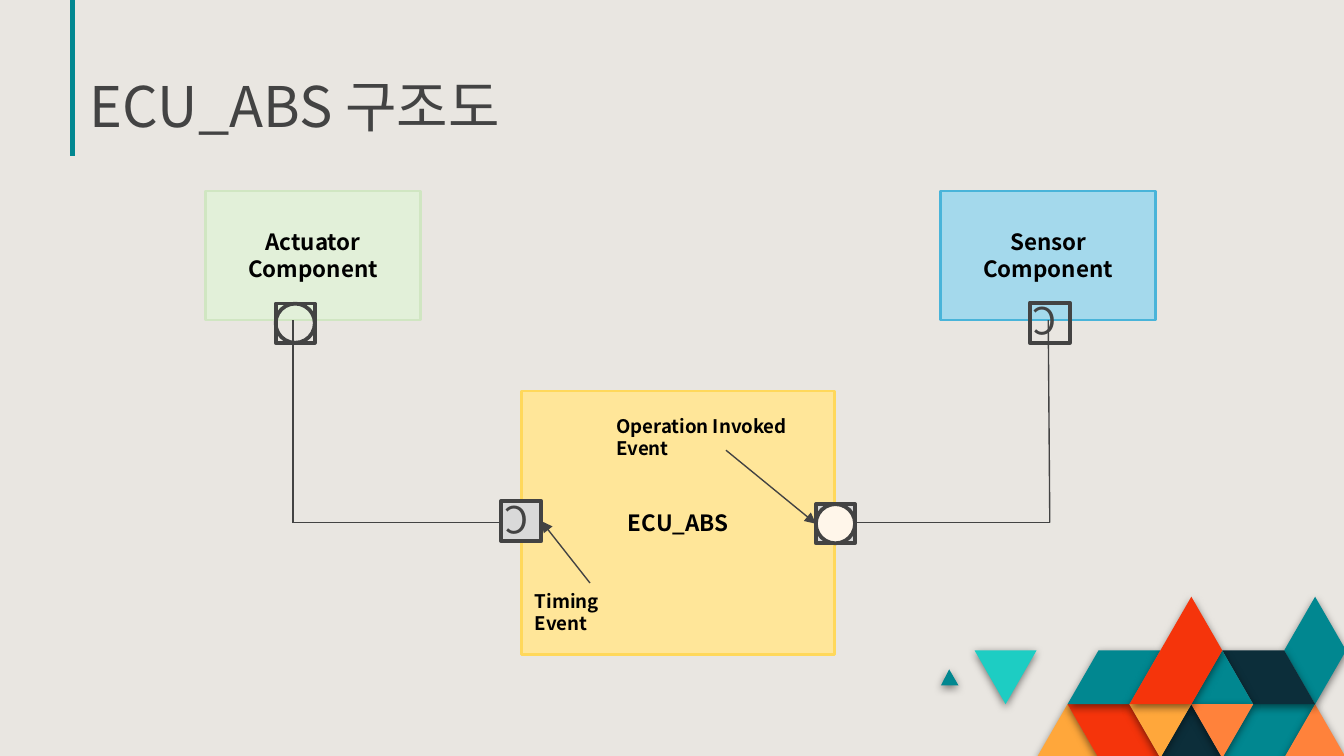
from dataclasses import dataclass
from typing import Optional

from lxml.etree import SubElement
from pptx import Presentation
from pptx.dml.color import RGBColor
from pptx.enum.shapes import MSO_CONNECTOR, MSO_SHAPE
from pptx.enum.text import MSO_ANCHOR, PP_ALIGN
from pptx.oxml.ns import qn
from pptx.util import Cm, Pt

FONT = "Noto Sans CJK KR"
BACKGROUND = RGBColor(0xE9, 0xE6, 0xE1)
BLACK = RGBColor(0x00, 0x00, 0x00)
DARK = RGBColor(0x43, 0x43, 0x43)
TEAL = RGBColor(0x01, 0x87, 0x90)
TURQUOISE = RGBColor(0x1D, 0xCD, 0xC3)
NAVY = RGBColor(0x0C, 0x2E, 0x3A)
RED = RGBColor(0xF5, 0x34, 0x0B)
AMBER = RGBColor(0xFF, 0xA7, 0x3B)
ORANGE = RGBColor(0xFF, 0x82, 0x3B)
YELLOW = RGBColor(0xFF, 0xE6, 0x99)
YELLOW_EDGE = RGBColor(0xFF, 0xD8, 0x5B)
BLUE = RGBColor(0xA4, 0xD9, 0xEC)
BLUE_EDGE = RGBColor(0x49, 0xB4, 0xD9)
GREEN = RGBColor(0xE2, 0xF0, 0xD9)
GREEN_EDGE = RGBColor(0xD0, 0xE6, 0xC2)
GREY = RGBColor(0xD9, 0xD9, 0xD9)
CREAM = RGBColor(0xFF, 0xF6, 0xEA)

MOSAIC_LEFT, MOSAIC_TOP = 18.42, 11.28
COLUMN_STEP, ROW_STEP = 0.585, 1.016
RECEIVER_SIZE, PROVIDER_SIZE = 0.76, 0.74
BOTTOM, LEFT, RIGHT = 2, 1, 3


@dataclass(frozen=True)
class Tile:
    color: RGBColor
    corners: tuple


@dataclass(frozen=True)
class Component:
    text: str
    left: float
    top: float
    width: float
    height: float
    fill: RGBColor
    edge: RGBColor


TILES = (
    Tile(AMBER, ((2, 3), (3, 2), (4, 3))),
    Tile(RED, ((3, 2), (5, 2), (6, 3), (4, 3))),
    Tile(TEAL, ((8, 3), (9, 2), (11, 2), (10, 3))),
    Tile(ORANGE, ((10, 3), (11, 2), (12, 3))),
    Tile(NAVY, ((6, 3), (7, 2), (8, 3))),
    Tile(TEAL, ((3, 2), (4, 1), (6, 1), (5, 2))),
    Tile(TEAL, ((-1.09, 1.65), (-0.82, 1.35), (-0.52, 1.65))),
    Tile(TURQUOISE, ((0, 1), (2, 1), (1, 2))),
    Tile(TEAL, ((10, 1), (11, 0), (12, 1), (11, 2))),
    Tile(NAVY, ((8, 1), (10, 1), (11, 2), (9, 2))),
    Tile(TEAL, ((7, 2), (8, 1), (9, 2))),
    Tile(ORANGE, ((7, 2), (9, 2), (8, 3))),
    Tile(AMBER, ((5, 2), (7, 2), (6, 3))),
    Tile(RED, ((5, 2), (7, 0), (8, 1), (7, 2))),
)
ECU = Component("ECU_ABS", 9.86, 7.39, 5.92, 4.98, YELLOW, YELLOW_EDGE)
SENSOR = Component("Sensor\nComponent", 17.78, 3.61, 4.06, 2.44, BLUE, BLUE_EDGE)
ACTUATOR = Component("Actuator Component", 3.89, 3.61, 4.06, 2.44, GREEN, GREEN_EDGE)


def write_text(shape, text: str, *, size: float, color=BLACK, bold=False,
               align=PP_ALIGN.LEFT, anchor=MSO_ANCHOR.TOP, leading=None) -> None:
    frame = shape.text_frame
    frame.word_wrap = True
    frame.vertical_anchor = anchor
    frame.text = text
    for paragraph in frame.paragraphs:
        paragraph.alignment = align
        if leading:
            paragraph.line_spacing = Pt(leading)
        for run in paragraph.runs:
            run.font.name = FONT
            run.font.size = Pt(size)
            run.font.bold = bold
            run.font.color.rgb = color
            SubElement(run.font._element, qn("a:ea"), typeface=FONT)


def add_label(slide, text: str, left: float, top: float, width: float, height: float, **text_format):
    label = slide.shapes.add_textbox(Cm(left), Cm(top), Cm(width), Cm(height))
    write_text(label, text, **text_format)
    return label


def add_outline(slide, kind, left: float, top: float, width: float, height: float,
                fill: Optional[RGBColor], edge: RGBColor, weight: float):
    shape = slide.shapes.add_shape(kind, Cm(left), Cm(top), Cm(width), Cm(height))
    shape.shadow.inherit = False
    if fill is None:
        shape.fill.background()
    else:
        shape.fill.solid()
        shape.fill.fore_color.rgb = fill
    shape.line.color.rgb = edge
    shape.line.width = Pt(weight)
    return shape


def add_component(slide, component: Component):
    shape = add_outline(slide, MSO_SHAPE.RECTANGLE, component.left, component.top, component.width,
                        component.height, component.fill, component.edge, 1.5)
    write_text(shape, component.text, size=12, bold=True, align=PP_ALIGN.CENTER,
               anchor=MSO_ANCHOR.MIDDLE, leading=14.4)
    return shape


def add_receiver_port(slide, left: float, top: float, fill: Optional[RGBColor] = None):
    port = add_outline(slide, MSO_SHAPE.RECTANGLE, left, top, RECEIVER_SIZE, RECEIVER_SIZE, fill, DARK, 2)
    port.rotation = 180
    write_text(port, "C", size=20, color=DARK, align=PP_ALIGN.CENTER, anchor=MSO_ANCHOR.MIDDLE)
    return port


def add_provider_port(slide, left: float, top: float,
                      fill: Optional[RGBColor] = None, circle_fill: Optional[RGBColor] = None):
    square, _ = [
        add_outline(slide, kind, left, top, PROVIDER_SIZE, PROVIDER_SIZE, color, DARK, 2)
        for kind, color in ((MSO_SHAPE.RECTANGLE, fill), (MSO_SHAPE.OVAL, circle_fill))
    ]
    return square


def add_line(slide, start: tuple, end: tuple, *, color=DARK, weight=0.75, arrow=False,
             begin_at=None, end_at=None) -> None:
    points = [Cm(value) for value in (*start, *end)]
    line = slide.shapes.add_connector(MSO_CONNECTOR.STRAIGHT, *points)
    if begin_at:
        line.begin_connect(*begin_at)
    if end_at:
        line.end_connect(*end_at)
    line.begin_x, line.begin_y, line.end_x, line.end_y = points
    line.line.color.rgb = color
    line.line.width = Pt(weight)
    if arrow:
        SubElement(line.line._get_or_add_ln(), qn("a:tailEnd"), type="triangle")
    SubElement(line._element.spPr, qn("a:effectLst"))


def add_tile(slide, tile: Tile) -> None:
    first, *others = [
        (Cm(MOSAIC_LEFT + column * COLUMN_STEP), Cm(MOSAIC_TOP + row * ROW_STEP))
        for column, row in tile.corners
    ]
    builder = slide.shapes.build_freeform(*first, scale=1.0)
    builder.add_line_segments(others, close=True)
    shape = builder.convert_to_shape()
    shape.fill.solid()
    shape.fill.fore_color.rgb = tile.color
    shape.line.fill.background()
    shape.shadow.inherit = False
    effects = shape._element.spPr.find(qn("a:effectLst"))
    shadow = SubElement(effects, qn("a:outerShdw"), blurRad=str(Pt(4.5)), dist=str(Pt(1.5)),
                        dir="5400000", algn="bl", rotWithShape="0")
    shade = SubElement(shadow, qn("a:srgbClr"), val=str(BLACK))
    SubElement(shade, qn("a:alpha"), val="50000")


def main() -> None:
    presentation = Presentation()
    presentation.slide_width, presentation.slide_height = Cm(25.4), Cm(14.29)
    slide = presentation.slides.add_slide(presentation.slide_layouts[6])
    slide.background.fill.solid()
    slide.background.fill.fore_color.rgb = BACKGROUND

    add_line(slide, (1.37, 0), (1.37, 2.95), color=TEAL, weight=2.25)
    for tile in TILES:
        add_tile(slide, tile)

    title = add_label(slide, "ECU_ABS 구조도", 1.45, 1.27, 22.48, 1.6,
                      size=30, color=DARK, anchor=MSO_ANCHOR.BOTTOM)
    title.text_frame.margin_top = title.text_frame.margin_bottom = Cm(0.25)

    ecu, sensor, _ = [add_component(slide, component) for component in (ECU, SENSOR, ACTUATOR)]
    add_line(slide, (15.78, 9.88), (19.84, 9.88), begin_at=(ecu, RIGHT))
    add_line(slide, (19.84, 9.88), (19.81, 6.05), end_at=(sensor, BOTTOM))
    add_line(slide, (5.54, 6.05), (5.54, 9.88))
    add_line(slide, (5.54, 9.88), (9.86, 9.88), arrow=True, end_at=(ecu, LEFT))

    timing_port = add_receiver_port(slide, 9.47, 9.47, GREY)
    add_provider_port(slide, 5.21, 5.74)
    operation_port = add_provider_port(slide, 15.42, 9.53, GREY, CREAM)
    add_receiver_port(slide, 19.46, 5.72)

    add_label(slide, "Operation Invoked Event", 11.4, 7.72, 4.57, 0.69, size=10, bold=True, leading=12)
    add_line(slide, (13.72, 8.51), (15.42, 9.9), arrow=True, end_at=(operation_port, LEFT))
    add_label(slide, "Timing Event", 9.86, 11.02, 2.64, 0.69, size=10, bold=True, leading=12)
    add_line(slide, (11.15, 11.02), (10.23, 9.85), arrow=True, end_at=(timing_port, LEFT))

    presentation.save("out.pptx")


if __name__ == "__main__":
    main()
